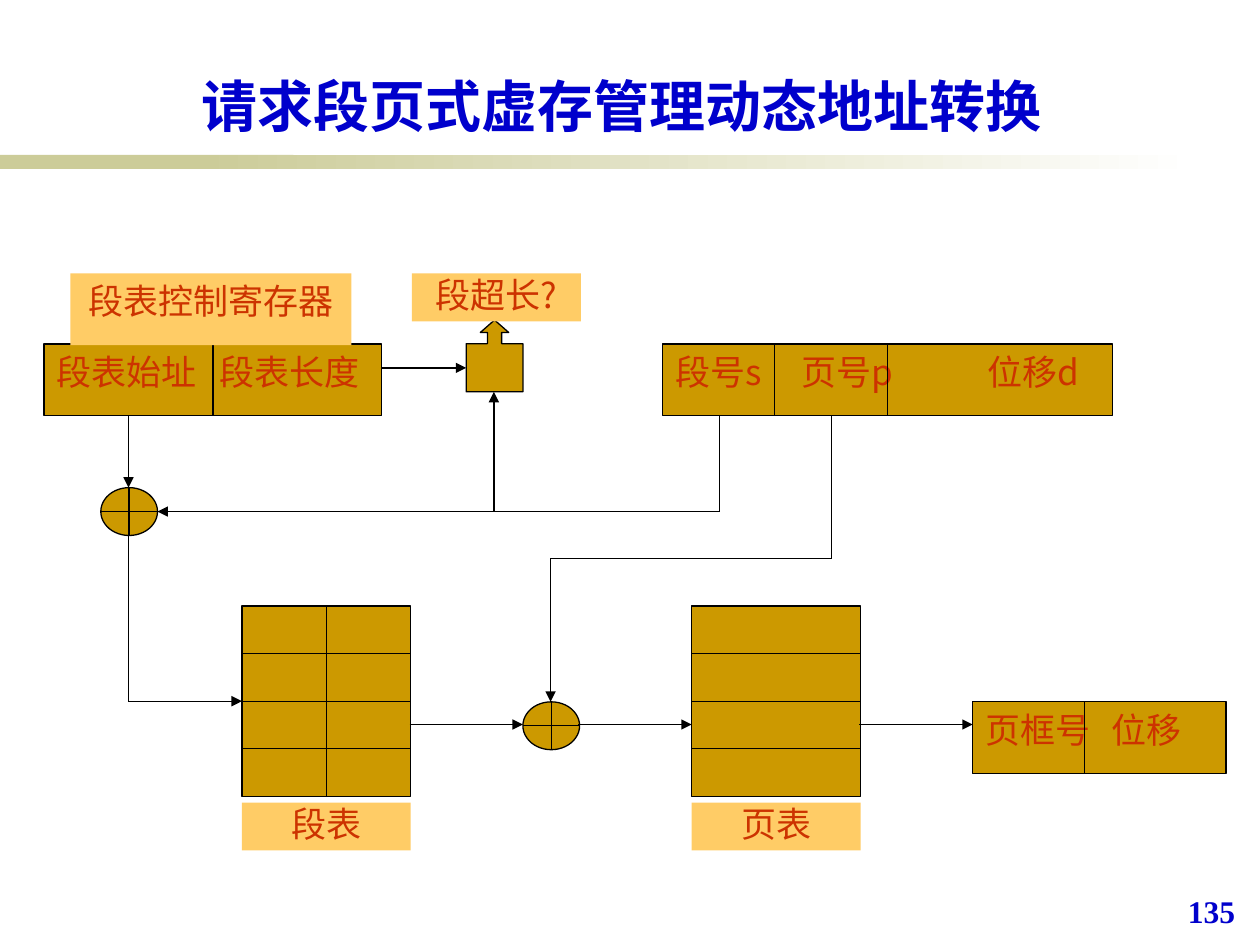
from dataclasses import dataclass

from lxml import etree
from pptx import Presentation
from pptx.dml.color import RGBColor
from pptx.enum.shapes import MSO_CONNECTOR, MSO_SHAPE
from pptx.enum.text import MSO_ANCHOR, PP_ALIGN
from pptx.oxml.ns import qn
from pptx.util import Inches, Pt

RECTANGLE = MSO_SHAPE.RECTANGLE
ADDER = MSO_SHAPE.FLOWCHART_OR
CALLOUT = MSO_SHAPE.UP_ARROW_CALLOUT
STRAIGHT = MSO_CONNECTOR.STRAIGHT
CENTER, JUSTIFY, LEFT = PP_ALIGN.CENTER, PP_ALIGN.JUSTIFY, PP_ALIGN.LEFT
TOP, BOTTOM = MSO_ANCHOR.TOP, MSO_ANCHOR.BOTTOM

CJK, SERIF = "Noto Sans CJK JP", "Times New Roman"
BLACK, WHITE, BLUE, RED = "000000", "FFFFFF", "0000CC", "CC3300"
GOLD, PEACH, OLIVE = "CC9900", "FFCC66", "CCCC99"
JOIN_TOLERANCE = 0.01


@dataclass
class Box:
    left: float
    top: float
    width: float
    height: float

    def side_middles(self) -> list[tuple[float, float]]:
        """Connection sites in order: top, left, bottom, right."""
        x, y = self.left + self.width / 2, self.top + self.height / 2
        return [(x, self.top), (self.left, y),
                (x, self.top + self.height), (self.left + self.width, y)]

    def lengths(self) -> list[int]:
        return [Inches(v) for v in (self.left, self.top, self.width, self.height)]


@dataclass
class Block:
    """A gold rectangle divided by lines, with its fields set at tab stops."""
    box: Box
    columns: tuple[float, ...] = ()
    rows: int = 1
    text: str = ""
    tabs: tuple[float, ...] = ()


@dataclass
class Label:
    box: Box
    text: str
    vertical_inset: float = 0


@dataclass
class Route:
    """Straight segments through the points, with an arrowhead at the end."""
    points: list[tuple[float, float]]
    arrow: bool = True


BLOCKS = [
    Block(Box(5.49, 4.81, 1.34, 1.51), rows=4),
    Block(Box(1.92, 4.81, 1.34, 1.51), columns=(0.67,), rows=4),
    Block(Box(0.35, 2.73, 2.68, 0.57), (1.34,), text="段表始址\t段表长度", tabs=(1.29,)),
    Block(Box(5.26, 2.73, 3.57, 0.57), (0.89, 1.785),
          text="段号s\t页号p\t位移d", tabs=(1.0, 2.48)),
    Block(Box(7.72, 5.57, 2.01, 0.57), (0.89,), text="页框号\t位移", tabs=(1.0,)),
]
LABELS = [
    Label(Box(0.56, 2.17, 2.23, 0.57), "段表控制寄存器", 0.05),
    Label(Box(3.27, 2.17, 1.34, 0.38), "段超长?"),
    Label(Box(1.92, 6.37, 1.34, 0.38), "段表"),
    Label(Box(5.49, 6.37, 1.34, 0.38), "页表"),
]
ADDERS = [Box(0.8, 3.87, 0.45, 0.38), Box(4.15, 5.57, 0.45, 0.38)]
ROUTES = [
    Route([(1.02, 3.3), (1.02, 3.87)]),
    Route([(5.71, 3.3), (5.71, 4.06), (1.25, 4.06)]),
    Route([(3.03, 2.92), (3.7, 2.92)]),
    Route([(3.92, 4.06), (3.92, 3.11)]),
    Route([(1.02, 4.24), (1.02, 5.565), (1.92, 5.565)]),
    Route([(6.6, 3.3), (6.6, 4.43), (4.37, 4.43), (4.37, 5.57)]),
    Route([(3.25, 5.75), (4.15, 5.75)]),
    Route([(4.59, 5.75), (5.49, 5.75)]),
    Route([(6.82, 5.75), (7.72, 5.75)]),
]


def color(value: str) -> RGBColor:
    return RGBColor.from_string(value)


def add_shape(slide, kind, box: Box, fill: str, outlined: bool = False):
    shape = slide.shapes.add_shape(kind, *box.lengths())
    shape.shadow.inherit = False
    shape.fill.solid()
    shape.fill.fore_color.rgb = color(fill)
    if outlined:
        shape.line.color.rgb = color(BLACK)
        shape.line.width = Pt(0.75)
    else:
        shape.line.fill.background()
    return shape


def write_text(shape, text: str, font_color: str = RED, size: float = 20,
               name: str = CJK, bold: bool = False, alignment=CENTER,
               anchor=TOP, vertical_inset: float = 0.05,
               tabs: tuple[float, ...] = ()) -> None:
    frame_format = {
        "word_wrap": True, "vertical_anchor": anchor,
        "margin_left": Inches(0.1), "margin_right": Inches(0.1),
        "margin_top": Inches(vertical_inset), "margin_bottom": Inches(vertical_inset),
    }
    for key, value in frame_format.items():
        setattr(shape.text_frame, key, value)
    paragraph = shape.text_frame.paragraphs[0]
    paragraph.alignment = alignment
    if tabs:
        tab_list = etree.SubElement(paragraph._p.get_or_add_pPr(), qn("a:tabLst"))
        for position in tabs:
            etree.SubElement(tab_list, qn("a:tab"), pos=str(Inches(position)), algn="l")
    run = paragraph.add_run()
    run.text = text
    for key, value in {"size": Pt(size), "name": name, "bold": bold}.items():
        setattr(run.font, key, value)
    run.font.color.rgb = color(font_color)
    etree.SubElement(run._r.get_or_add_rPr(), qn("a:ea"), typeface=name)


def add_line(slide, start, end, rectangles, arrow: bool = False) -> None:
    """Draw a line, joined to any rectangle whose side middle it touches."""
    connector = slide.shapes.add_connector(
        STRAIGHT, *[Inches(value) for value in (*start, *end)])
    connector.line.color.rgb = color(BLACK)
    connector.line.width = Pt(0.75)
    if arrow:
        etree.SubElement(connector.line._get_or_add_ln(), qn("a:tailEnd"), type="triangle")
    etree.SubElement(connector._element.spPr, qn("a:effectLst"))
    for point, connect in ((start, connector.begin_connect), (end, connector.end_connect)):
        for box, shape in rectangles:
            for site, middle in enumerate(box.side_middles()):
                if all(abs(a - b) < JOIN_TOLERANCE for a, b in zip(point, middle)):
                    connect(shape, site)


def add_block(slide, block: Block):
    box = block.box
    shape = add_shape(slide, RECTANGLE, box, GOLD, outlined=True)
    if block.text:
        write_text(shape, block.text, alignment=JUSTIFY, tabs=block.tabs)
    own = [(box, shape)]
    for offset in block.columns:
        x = box.left + offset
        add_line(slide, (x, box.top), (x, box.top + box.height), own)
    for row in range(1, block.rows):
        y = box.top + row * box.height / block.rows
        add_line(slide, (box.left, y), (box.left + box.width, y), own)
    return shape


def add_title_band(slide) -> None:
    add_shape(slide, RECTANGLE, Box(0, 1.23, 2.33, 0.11), OLIVE)
    fade = add_shape(slide, RECTANGLE, Box(1.58, 1.23, 7.92, 0.11), OLIVE)
    fade.fill.gradient()
    fade.fill.gradient_angle = 0
    for stop, value in zip(fade.fill.gradient_stops, (OLIVE, WHITE)):
        stop.color.rgb = color(value)


def main() -> None:
    presentation = Presentation()
    presentation.slide_width, presentation.slide_height = Inches(10), Inches(7.5)
    slide = presentation.slides.add_slide(presentation.slide_layouts[6])
    add_title_band(slide)

    rectangles = [(block.box, add_block(slide, block)) for block in BLOCKS]
    for box in ADDERS:
        add_shape(slide, ADDER, box, GOLD, outlined=True)
    callout = add_shape(slide, CALLOUT, Box(3.7, 2.54, 0.45, 0.57), GOLD, outlined=True)
    for index, value in enumerate((0.25, 0.25, 0.22, 0.67)):
        callout.adjustments[index] = value
    for label in LABELS:
        shape = add_shape(slide, RECTANGLE, label.box, PEACH)
        write_text(shape, label.text, vertical_inset=label.vertical_inset)
    for route in ROUTES:
        last = len(route.points) - 2
        for index, (start, end) in enumerate(zip(route.points, route.points[1:])):
            add_line(slide, start, end, rectangles, arrow=route.arrow and index == last)

    title = slide.shapes.add_textbox(*Box(0.91, 0.52, 8.05, 0.63).lengths())
    write_text(title, "请求段页式虚存管理动态地址转换", BLUE, 32, bold=True, anchor=BOTTOM)
    number = slide.shapes.add_textbox(*Box(9.33, 7.03, 0.64, 0.5).lengths())
    write_text(number, "135", BLUE, 18, SERIF, bold=True, alignment=LEFT)
    presentation.save("out.pptx")


if __name__ == "__main__":
    main()
